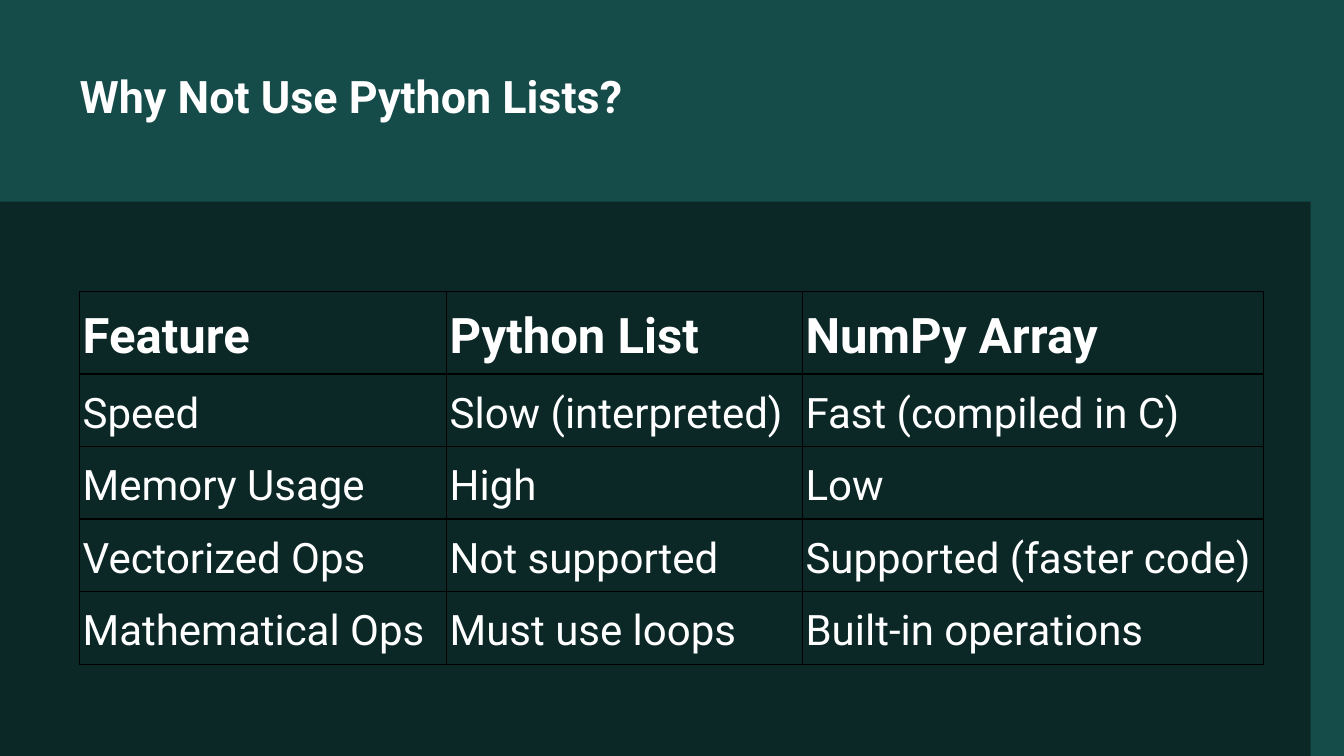
from dataclasses import dataclass

from lxml import etree
from pptx import Presentation
from pptx import util as u
from pptx.dml.color import RGBColor
from pptx.enum import shapes, text
from pptx.oxml import ns

TEAL, DARK, WHITE, BLACK = "154C4A", "0B2827", "FFFFFF", "000000"
WIDTH, HEIGHT = 13.33, 7.5
MARGIN = 0.79
CELL_INSET = u.Inches(0.03)


@dataclass
class Row:
    cells: tuple[str, str, str]
    height: float = 0.72
    size: int = 30
    bold: bool = False


COLUMN_WIDTHS = (3.64, 3.53, 4.57)
COMPARISON = [
    Row(("Feature", "Python List", "NumPy Array"), height=0.82, size=35, bold=True),
    Row(("Speed", "Slow (interpreted)", "Fast (compiled in C)")),
    Row(("Memory Usage", "High", "Low")),
    Row(("Vectorized Ops", "Not supported", "Supported (faster code)")),
    Row(("Mathematical Ops", "Must use loops", "Built-in operations")),
]

# Upper edge of the dark ground, left to right
RIDGE = [(0.01, 2.02), (0.08, 2.02), (1.4, 2.07), (2.72, 2.05), (3.54, 2.03),
         (4.36, 2.01), (10.12, 1.9), (11.77, 1.98), (12.43, 1.97),
         (13.23, 1.95), (WIDTH, 1.95)]


def color(value: str) -> RGBColor:
    return RGBColor.from_string(value)


def paint(shape, value: str) -> None:
    shape.fill.solid()
    shape.fill.fore_color.rgb = color(value)
    shape.line.fill.background()
    shape.shadow.inherit = False


def write(frame, content: str, *, size: int, bold: bool = False,
          spacing: float = 1.0, after: int = 0) -> None:
    paragraph = frame.paragraphs[0]
    paragraph.alignment = text.PP_ALIGN.LEFT
    paragraph.line_spacing = spacing
    paragraph.space_after = u.Pt(after)
    run = paragraph.add_run()
    run.text = content
    run.font.name = "Roboto"
    run.font.size = u.Pt(size)
    run.font.bold = bold
    run.font.color.rgb = color(WHITE)


def add_borders(cell) -> None:
    properties = cell._tc.get_or_add_tcPr()
    for position, side in enumerate(("lnL", "lnR", "lnT", "lnB")):
        border = etree.Element(ns.qn(f"a:{side}"), w=str(u.Pt(1)))
        fill = etree.SubElement(border, ns.qn("a:solidFill"))
        etree.SubElement(fill, ns.qn("a:srgbClr"), val=BLACK)
        properties.insert(position, border)


def add_backdrop(slide) -> None:
    slide.background.fill.solid()
    slide.background.fill.fore_color.rgb = color(DARK)
    band = slide.shapes.add_shape(shapes.MSO_SHAPE.RECTANGLE, 0, 0,
                                  u.Inches(WIDTH), u.Inches(HEIGHT))
    paint(band, TEAL)
    builder = slide.shapes.build_freeform(0, HEIGHT, scale=u.Inches(1))
    builder.add_line_segments(RIDGE + [(WIDTH, HEIGHT)], close=True)
    paint(builder.convert_to_shape(), DARK)


def add_title(slide) -> None:
    title = slide.shapes.add_textbox(u.Inches(MARGIN), u.Inches(0.68),
                                     u.Inches(11.73), u.Inches(0.75))
    frame = title.text_frame
    frame.word_wrap = True
    frame.margin_left = frame.margin_right = 0
    frame.margin_top = frame.margin_bottom = 0
    write(frame, "Why Not Use Python Lists?", size=32, bold=True)


def add_comparison(slide) -> None:
    table = slide.shapes.add_table(
        len(COMPARISON), len(COLUMN_WIDTHS), u.Inches(MARGIN), u.Inches(2.89),
        u.Inches(sum(COLUMN_WIDTHS)),
        u.Inches(sum(row.height for row in COMPARISON))).table
    table.horz_banding = False
    for column, width in zip(table.columns, COLUMN_WIDTHS):
        column.width = u.Inches(width)
    for table_row, row in zip(table.rows, COMPARISON):
        table_row.height = u.Inches(row.height)
        for cell, content in zip(table_row.cells, row.cells):
            cell.margin_left = cell.margin_right = CELL_INSET
            cell.margin_top = cell.margin_bottom = CELL_INSET
            cell.vertical_anchor = text.MSO_ANCHOR.MIDDLE
            cell.fill.background()
            add_borders(cell)
            write(cell.text_frame, content, size=row.size, bold=row.bold,
                  spacing=1.15, after=8)


def main() -> None:
    deck = Presentation()
    deck.slide_width, deck.slide_height = u.Inches(WIDTH), u.Inches(HEIGHT)
    slide = deck.slides.add_slide(deck.slide_layouts[6])
    add_backdrop(slide)
    add_title(slide)
    add_comparison(slide)
    deck.save("out.pptx")


if __name__ == "__main__":
    main()
